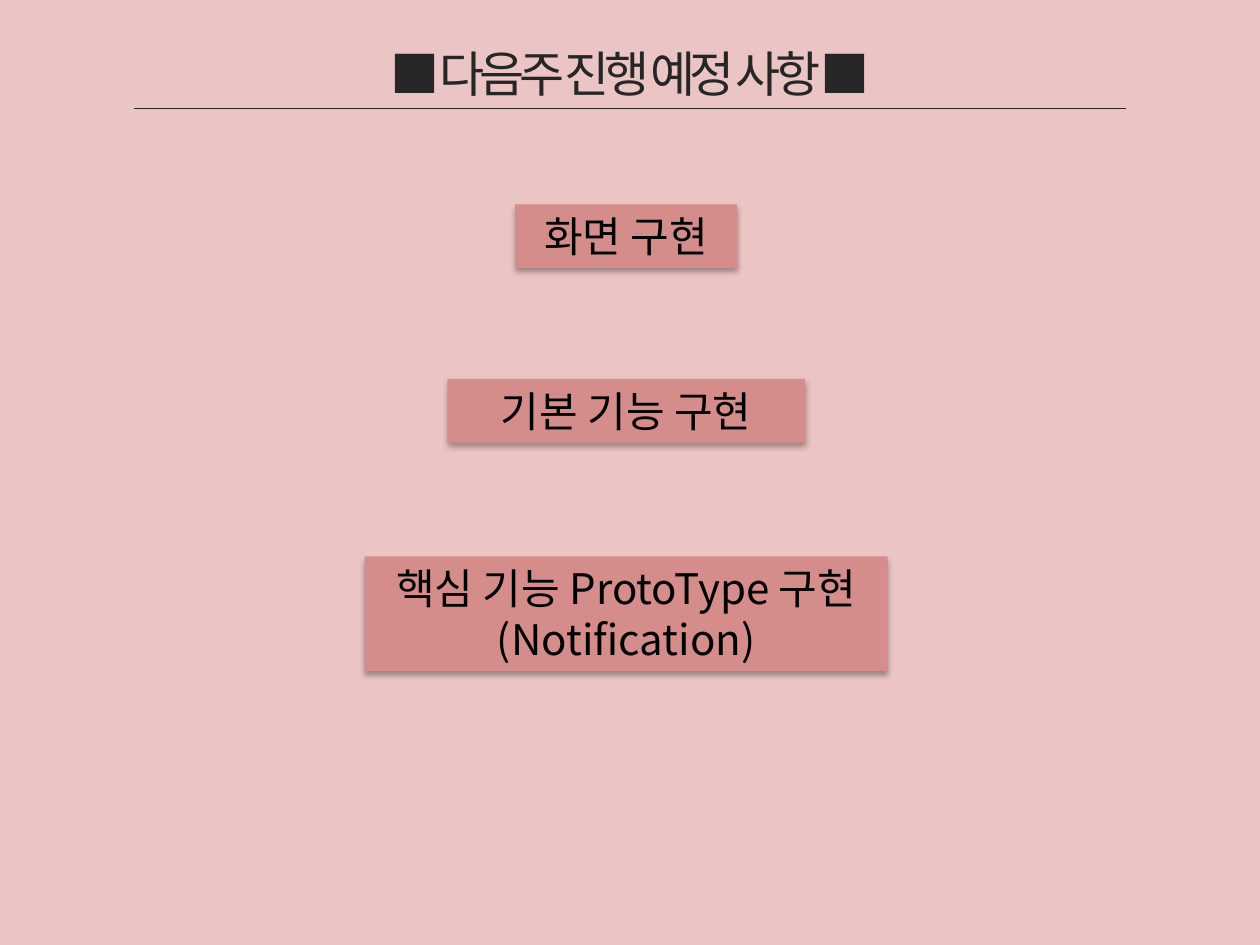
from lxml import etree
from pptx import Presentation
from pptx import util as u
from pptx.dml.color import RGBColor
from pptx.enum import shapes, text
from pptx.oxml import ns

BACKGROUND = RGBColor(0xEA, 0xC5, 0xC4)
ROSE = RGBColor(0xD5, 0x8D, 0x8B)
INK = RGBColor(0x26, 0x26, 0x26)
BLACK = RGBColor(0, 0, 0)
TASK_CENTER = 357.8


class Deck:
    """Holds the style and the current slide and draws its elements."""

    font = "Noto Sans CJK KR"

    def __init__(self, slide):
        self.slide = slide
        slide.background.fill.solid()
        slide.background.fill.fore_color.rgb = BACKGROUND

    def label(self, wording, center, top, width, height, fill, color, size, spacing=0):
        box = self.slide.shapes.add_textbox(
            u.Pt(center - width / 2), u.Pt(top), u.Pt(width), u.Pt(height))
        box.fill.solid()
        box.fill.fore_color.rgb = fill
        frame = box.text_frame
        frame.word_wrap = True
        frame.auto_size = text.MSO_AUTO_SIZE.SHAPE_TO_FIT_TEXT
        frame.text = wording
        for paragraph in frame.paragraphs:
            paragraph.alignment = text.PP_ALIGN.CENTER
            for run in paragraph.runs:
                run.font.size = u.Pt(size)
                run.font.color.rgb = color
                run.font.name = self.font
                properties = run.font._element
                etree.SubElement(properties, ns.qn("a:ea"), typeface=self.font)
                if spacing:
                    properties.set("spc", str(spacing * 100))
        return box

    def task(self, wording, top, width, height):
        card = self.label(wording, TASK_CENTER, top, width, height, ROSE, BLACK, 24)
        card.shadow.inherit = False
        effects = card._element.spPr.find(ns.qn("a:effectLst"))
        shadow = etree.SubElement(
            effects, ns.qn("a:outerShdw"), blurRad=str(u.Pt(3.5)),
            dist=str(u.Pt(2.2)), dir="5400000", rotWithShape="0")
        tint = etree.SubElement(shadow, ns.qn("a:srgbClr"), val=str(BLACK))
        etree.SubElement(tint, ns.qn("a:alpha"), val="32000")

    def rule(self, left, right, y):
        line = self.slide.shapes.add_connector(
            shapes.MSO_CONNECTOR.STRAIGHT, u.Pt(left), u.Pt(y), u.Pt(right), u.Pt(y))
        line.line.color.rgb = INK
        line.line.width = u.Pt(0.75)
        etree.SubElement(line._element.spPr, ns.qn("a:effectLst"))


def main():
    presentation = Presentation()
    presentation.slide_width, presentation.slide_height = u.Pt(720), u.Pt(540)
    deck = Deck(presentation.slides.add_slide(presentation.slide_layouts[6]))
    deck.label("■ 다음주 진행 예정 사항 ■", 360, 21.6, 412, 41, BACKGROUND, INK, 28, -3)
    deck.rule(76.5, 643.5, 62)
    for wording, top, width, height in (
        ("화면 구현", 116.8, 126.8, 36.3),
        ("기본 기능 구현", 216.6, 204.4, 36.3),
        ("핵심 기능 ProtoType 구현\n(Notification)", 318, 298.8, 65.4),
    ):
        deck.task(wording, top, width, height)
    presentation.save("out.pptx")


if __name__ == "__main__":
    main()
